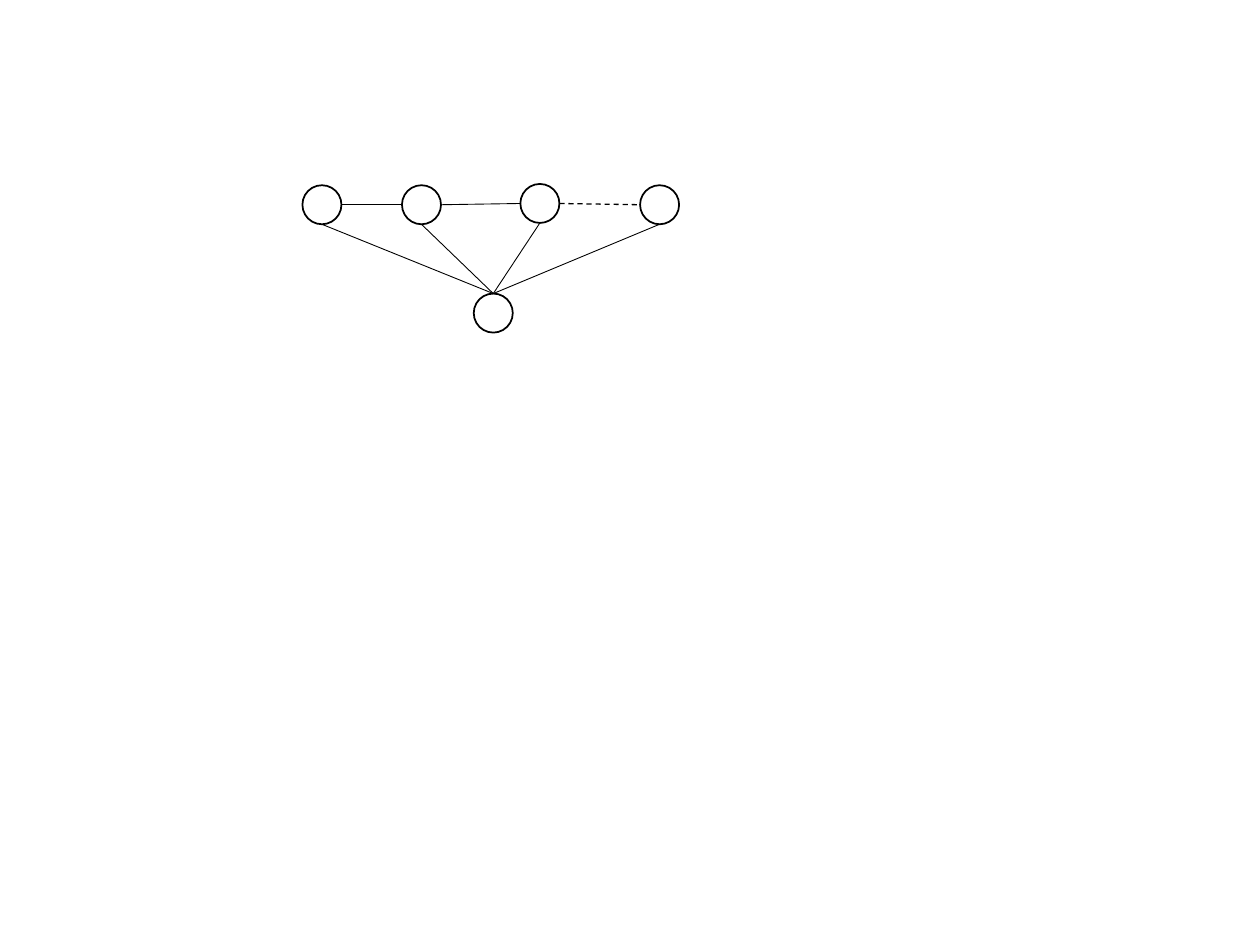
from pptx import Presentation
from pptx.dml.color import RGBColor
from pptx.enum.dml import MSO_LINE
from pptx.enum.shapes import MSO_CONNECTOR, MSO_SHAPE
from pptx.oxml.ns import qn
from pptx.util import Inches, Pt
from lxml import etree

ELLIPSE = MSO_SHAPE.OVAL
STRAIGHT = MSO_CONNECTOR.STRAIGHT
DASH = MSO_LINE.DASH

BLACK = "000000"
WHITE = "FFFFFF"
DIAMETER = Inches(0.31)
TOP_SITE = 0
BLANK_LAYOUT = 6

# Left and top of each node, in inches
CHAIN_NODES = [(2.4, 1.47), (3.19, 1.47), (4.13, 1.46), (5.08, 1.47)]
HUB_NODE = (3.76, 2.33)


def color(hex_value):
    return RGBColor.from_string(hex_value)


def add_node(slide, left, top):
    node = slide.shapes.add_shape(
        ELLIPSE, Inches(left), Inches(top), DIAMETER, DIAMETER
    )
    node.shadow.inherit = False
    node.fill.solid()
    node.fill.fore_color.rgb = color(WHITE)
    node.line.color.rgb = color(BLACK)
    node.line.width = Pt(1)
    return node


def add_edge(slide, start, end, width=0.5, dash=None):
    edge = slide.shapes.add_connector(STRAIGHT, *start, *end)
    edge.line.color.rgb = color(BLACK)
    edge.line.width = Pt(width)
    if dash is not None:
        edge.line.dash_style = dash
    etree.SubElement(edge._element.spPr, qn("a:effectLst"))
    return edge


def left_middle(node):
    return node.left, node.top + node.height // 2


def right_middle(node):
    return node.left + node.width, node.top + node.height // 2


def top_center(node):
    return node.left + node.width // 2, node.top


def bottom_center(node):
    return node.left + node.width // 2, node.top + node.height


def main():
    presentation = Presentation()
    presentation.slide_width = Inches(10)
    presentation.slide_height = Inches(7.5)
    slide = presentation.slides.add_slide(presentation.slide_layouts[BLANK_LAYOUT])

    chain = [add_node(slide, left, top) for left, top in CHAIN_NODES]
    hub = add_node(slide, *HUB_NODE)

    for node, following in zip(chain, chain[1:]):
        is_last = following is chain[-1]
        add_edge(
            slide,
            right_middle(node),
            left_middle(following),
            width=0.75 if is_last else 0.5,
            dash=DASH if is_last else None,
        )

    for node in chain:
        spoke = add_edge(slide, bottom_center(node), top_center(hub))
        spoke.end_connect(hub, TOP_SITE)

    presentation.save("out.pptx")


if __name__ == "__main__":
    main()
